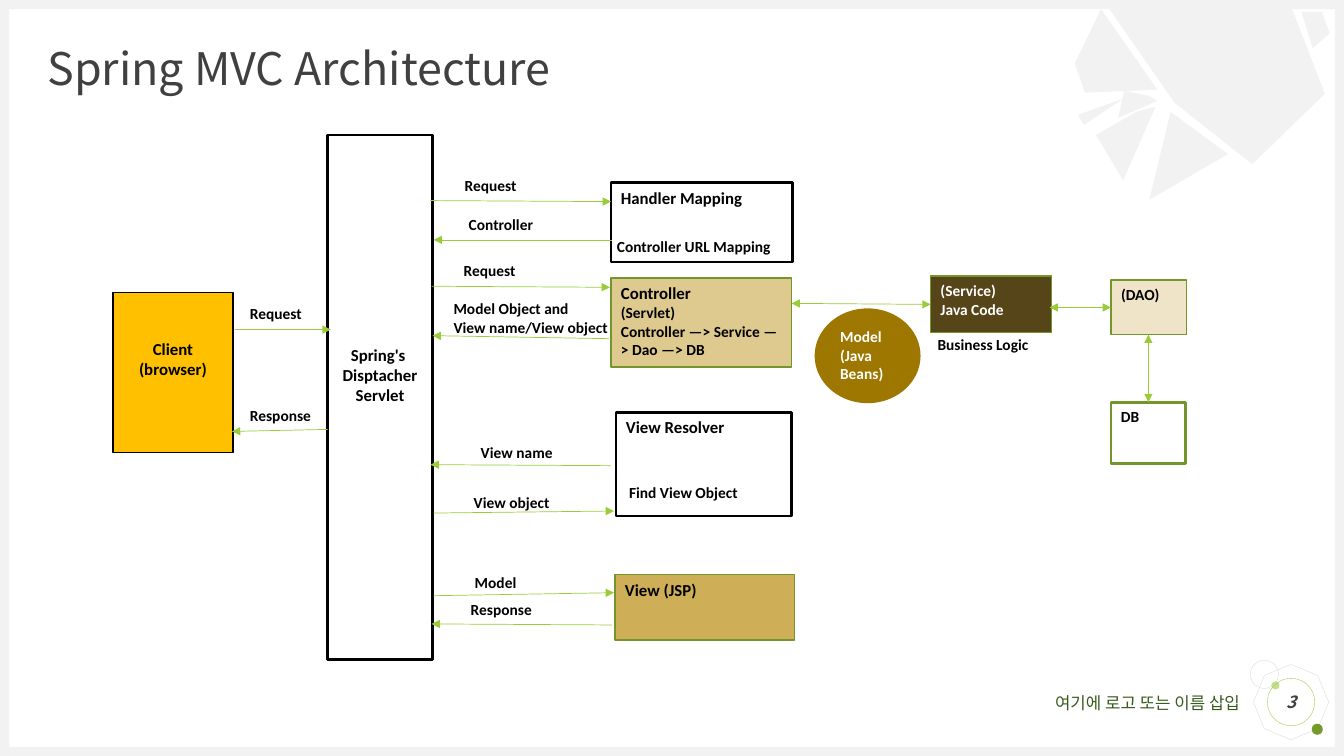
from lxml import etree
from pptx import Presentation
from pptx.dml.color import RGBColor
from pptx.enum.shapes import MSO_CONNECTOR, MSO_SHAPE
from pptx.enum.text import MSO_ANCHOR, MSO_AUTO_SIZE, PP_ALIGN
from pptx.oxml.ns import qn
from pptx.util import Pt

RECT, OVAL, OCTAGON = MSO_SHAPE.RECTANGLE, MSO_SHAPE.OVAL, MSO_SHAPE.OCTAGON
STRAIGHT = MSO_CONNECTOR.STRAIGHT
TOP, MIDDLE = MSO_ANCHOR.TOP, MSO_ANCHOR.MIDDLE
LEFT, CENTER, RIGHT = PP_ALIGN.LEFT, PP_ALIGN.CENTER, PP_ALIGN.RIGHT
NO_AUTOSIZE = MSO_AUTO_SIZE.NONE

PX = 9144
BODY_FONT, THEME_FONT = "Calibri", "Noto Sans CJK KR"
COLORS = {
    "black": "000000", "white": "FFFFFF", "title": "404040", "footer": "375C1E",
    "pale": "F2F2F2", "outline": "D9D9D9", "lime": "9ACB39", "light lime": "C2E088",
    "dot": "749A29", "green": "72962A", "amber": "FFC000", "sand": "DEC98E",
    "gold": "CEAE56", "brown": "554519", "cream": "EFE4C7", "bronze": "9E7701",
}
NO_INSETS = {"margin_left": 0, "margin_top": 0, "margin_right": 0, "margin_bottom": 0}


class ArchitectureSlide:
    """Draws the elements of one slide in a shared style."""

    def __init__(self, presentation):
        self.slide = presentation.slides.add_slide(presentation.slide_layouts[5])
        self.shapes = self.slide.shapes

    def color(self, name):
        return RGBColor.from_string(COLORS[name])

    def place(self, shape, box):
        for name, value in zip(("left", "top", "width", "height"), box):
            setattr(shape, name, value * PX)

    def paint(self, shape, fill=None, line=None, width=1):
        shape.shadow.inherit = False
        if fill:
            shape.fill.solid()
            shape.fill.fore_color.rgb = self.color(fill)
        else:
            shape.fill.background()
        if line:
            shape.line.color.rgb = self.color(line)
            shape.line.width = Pt(width)
        else:
            shape.line.fill.background()

    def set_text(self, shape, lines, size=11, sizes=None, color="black", font=BODY_FONT,
                 bold=True, italic=False, align=LEFT, spacing=1.0, **frame_format):
        frame = shape.text_frame
        frame_format = {"word_wrap": True, "auto_size": NO_AUTOSIZE,
                        "vertical_anchor": TOP, **frame_format}
        for name, value in frame_format.items():
            setattr(frame, name, value)
        frame.text = "\n".join(lines)
        for index, paragraph in enumerate(frame.paragraphs):
            paragraph.alignment = align
            paragraph.line_spacing = spacing
            run = paragraph.runs[0]
            font_format = {"name": font, "size": Pt(sizes[index] if sizes else size),
                           "bold": bold, "italic": italic}
            for name, value in font_format.items():
                setattr(run.font, name, value)
            run.font.color.rgb = self.color(color)
            east_asian = etree.SubElement(run.font._element, qn("a:ea"))
            east_asian.set("typeface", font)

    def title(self, text, box):
        placeholder = self.shapes.title
        self.place(placeholder, box)
        self.set_text(placeholder, [text], size=32, color="title", font=THEME_FONT,
                      bold=False, spacing=0.9, vertical_anchor=MIDDLE, **NO_INSETS)

    def shape(self, kind, box, fill=None, line=None, width=1, rotation=0):
        shape = self.shapes.add_shape(kind, *(value * PX for value in box))
        shape.rotation = rotation
        self.paint(shape, fill, line, width)
        return shape

    def shard(self, points):
        builder = self.shapes.build_freeform(*points[0], scale=PX)
        builder.add_line_segments(points[1:], close=True)
        self.paint(builder.convert_to_shape(), "pale")

    def label(self, box, lines, **style):
        text_box = self.shapes.add_textbox(*(value * PX for value in box))
        self.set_text(text_box, lines, **style)

    def arrow(self, start, end, both=False):
        connector = self.shapes.add_connector(
            STRAIGHT, *(value * PX for value in (*start, *end)))
        connector.line.color.rgb = self.color("lime")
        connector.line.width = Pt(0.5)
        line = connector.line._get_or_add_ln()
        for tag in ("a:headEnd", "a:tailEnd") if both else ("a:tailEnd",):
            etree.SubElement(line, qn(tag)).set("type", "triangle")
        etree.SubElement(connector._element.spPr, qn("a:effectLst"))


SHARDS = [
    [(1242, 163), (1165, 102), (1096, 3), (1280, 5), (1314, 93)],
    [(1092, 9), (1148, 89), (1076, 92), (1066, 63)],
    [(1075, 124), (1069, 114), (1114, 98)],
    [(1302, 48), (1291, 12), (1311, 12), (1319, 33)],
    [(1218, 153), (1140, 198), (1161, 111)],
    [(1114, 179), (1087, 134), (1127, 111), (1146, 106)],
    [(1109, 117), (1115, 90), (1139, 95), (1148, 100)],
]
FRAME = [(0, 741, 1333, 9), (0, 0, 1333, 9), (0, 0, 9, 750), (1324, 0, 9, 750)]
ORNAMENTS = [
    (OCTAGON, (1246, 662, 69, 69), {"line": "outline", "width": 0.25, "rotation": 22.7}),
    (OVAL, (1261, 676, 8, 8), {"fill": "light lime"}),
    (OVAL, (1301, 718, 11, 11), {"fill": "dot"}),
    (OVAL, (1240, 655, 28, 28), {"line": "outline", "width": 0.25}),
]
COMPONENTS = [
    (RECT, (112, 290, 119, 159), ("amber", "black", 1), ["Client", "(browser)"],
     {"size": 12, "align": CENTER, "margin_top": 46 * PX}),
    (RECT, (325, 134, 104, 520), (None, "black", 2), ["Spring's ", "Disptacher", "Servlet"],
     {"size": 12, "align": CENTER, "margin_top": 208 * PX}),
    (RECT, (606, 181, 180, 79), (None, "black", 2), ["Handler Mapping"], {"size": 12}),
    (RECT, (606, 276, 179, 88), ("sand", "green", 1),
     ["Controller", "(Servlet)", "Controller —> Service —> Dao —> DB"],
     {"sizes": (12, 11, 11)}),
    (RECT, (611, 409, 174, 103), (None, "black", 2), ["View Resolver"], {"size": 12}),
    (RECT, (610, 570, 178, 65), ("gold", "green", 1), ["View (JSP)"], {"size": 12}),
    (RECT, (923, 274, 120, 56), ("brown", "green", 1), ["(Service)", "Java Code"],
     {"color": "white"}),
    (RECT, (1102, 278, 75, 54), ("cream", "green", 1), ["(DAO)"], {}),
    (RECT, (1102, 399, 74, 61), (None, "green", 2), ["DB"], {}),
    (OVAL, (808, 306, 105, 94), ("bronze",), ["Model", "(Java", "Beans)"],
     {"color": "white"}),
]
ONE_WAY_ARROWS = [
    ((233, 327), (328, 327)), ((427, 199), (606, 200)), ((430, 509), (609, 507)),
    ((430, 591), (609, 588)), ((428, 284), (605, 285)), ((325, 426), (230, 428)),
    ((607, 238), (430, 238)), ((604, 336), (429, 333)), ((606, 462), (427, 461)),
    ((607, 620), (428, 619)),
]
TWO_WAY_ARROWS = [
    ((1139, 332), (1139, 399)), ((1102, 305), (1041, 305)), ((923, 302), (785, 301)),
]
MESSAGES = [
    ((461, 564, 62, 29), ["Model"]),
    ((451, 170, 72, 29), ["Request"]),
    ((450, 254, 72, 29), ["Request"]),
    ((238, 297, 72, 29), ["Request"]),
    ((238, 398, 82, 29), ["Response"]),
    ((457, 590, 82, 29), ["Response"]),
    ((460, 484, 96, 29), ["View object"]),
    ((455, 208, 85, 29), ["Controller"]),
    ((440, 292, 174, 48), ["Model Object and", "View name/View object"]),
]
CAPTIONS = [
    ((467, 435, 94, 29), ["View name"]),
    ((602, 230, 188, 27), ["Controller URL Mapping"]),
    ((614, 474, 132, 32), ["Find View Object"]),
    ((920, 328, 132, 29), ["Business Logic"]),
]


def main():
    presentation = Presentation()
    presentation.slide_width = 1333 * PX
    presentation.slide_height = 750 * PX
    page = ArchitectureSlide(presentation)

    for kind, box, style in ORNAMENTS:
        page.shape(kind, box, **style)
    for box in FRAME:
        page.shape(RECT, box, "pale")
    for points in SHARDS:
        page.shard(points)
    page.label((955, 687, 275, 20), ["여기에 로고 또는 이름 삽입"], size=12, color="footer",
               font=THEME_FONT, bold=False, align=RIGHT, **NO_INSETS)
    page.title("Spring MVC Architecture", (47, 47, 1240, 47))
    page_number = page.shape(OVAL, (1257, 673, 47, 47), line="lime", width=0.25)
    page.set_text(page_number, ["3"], size=12, color="title", font=THEME_FONT, italic=True,
                  align=CENTER, vertical_anchor=MIDDLE, **NO_INSETS)

    for kind, box, look, lines, style in COMPONENTS:
        page.set_text(page.shape(kind, box, *look), lines, **style)
    for start, end in ONE_WAY_ARROWS:
        page.arrow(start, end)
    for start, end in TWO_WAY_ARROWS:
        page.arrow(start, end, both=True)
    for box, lines in MESSAGES:
        page.label(box, lines, word_wrap=False)
    for box, lines in CAPTIONS:
        page.label(box, lines)

    presentation.save("out.pptx")


if __name__ == "__main__":
    main()
